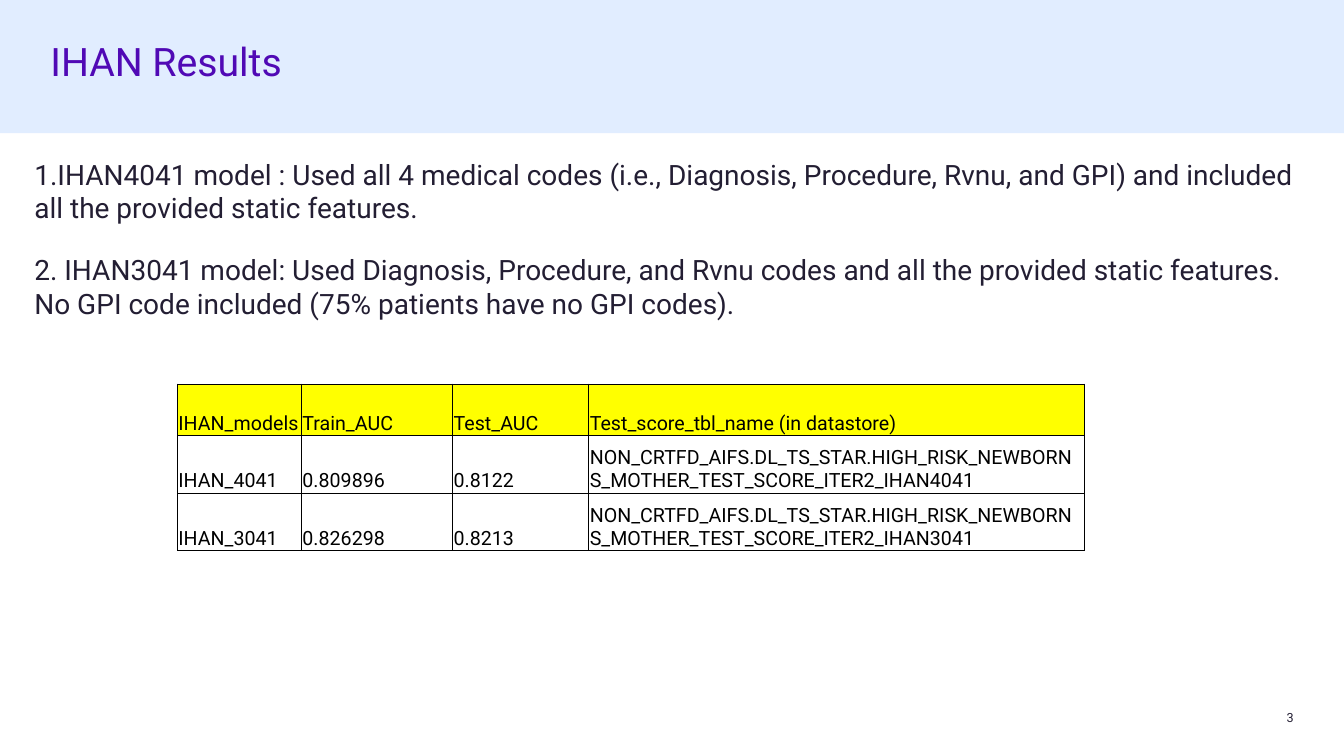
"""Build the IHAN results slide: title band, model notes and AUC table."""
from dataclasses import dataclass

from lxml import etree
from pptx import Presentation
from pptx import util as u
from pptx.dml.color import RGBColor
from pptx.enum import shapes, text
from pptx.oxml import ns


@dataclass(frozen=True)
class Theme:
    font: str = "Roboto"
    band: str = "E1EDFF"
    title: str = "5009B5"
    ink: str = "231E33"
    black: str = "000000"
    header: str = "FFFF00"
    title_size: int = 28
    body_size: int = 20
    table_size: int = 14
    number_size: int = 9


T = Theme()


def write(tf, *lines, size, color, align=text.PP_ALIGN.LEFT, before=0, spacing=1.0):
    tf.word_wrap = True
    for i, line in enumerate(lines):
        p = tf.add_paragraph() if i else tf.paragraphs[0]
        p.alignment = align
        p.space_before = u.Pt(before)
        p.line_spacing = spacing
        r = p.add_run()
        r.text = line
        r.font.name = T.font
        r.font.size = u.Pt(size)
        r.font.color.rgb = RGBColor.from_string(color)


def place(sp, left, top, width, height, anchor=text.MSO_ANCHOR.TOP):
    sp.left, sp.top = u.Inches(left), u.Inches(top)
    sp.width, sp.height = u.Inches(width), u.Inches(height)
    tf = sp.text_frame
    tf.margin_left = tf.margin_top = tf.margin_right = tf.margin_bottom = 0
    tf.auto_size = text.MSO_AUTO_SIZE.NONE
    tf.vertical_anchor = anchor
    return tf


prs = Presentation()
prs.slide_width, prs.slide_height = u.Inches(13.33), u.Inches(7.5)
s = prs.slides.add_slide(prs.slide_layouts[1])
title, body = s.placeholders

band = s.shapes.add_shape(shapes.MSO_SHAPE.RECTANGLE, 0, 0, prs.slide_width, u.Inches(1.32))
band.shadow.inherit = False
band.fill.solid()
band.fill.fore_color.rgb = RGBColor.from_string(T.band)
band.line.fill.background()
title.element.addprevious(band.element)

write(place(title, 0.5, 0.42, 12.33, 0.9), "IHAN Results",
      size=T.title_size, color=T.title, spacing=0.9)

write(place(body, 0.34, 1.56, 12.51, 5.01),
      "1.IHAN4041 model : Used all 4 medical codes (i.e., Diagnosis, Procedure, Rvnu, and GPI) "
      "and included all the provided static features.",
      "2. IHAN3041 model: Used Diagnosis, Procedure, and Rvnu codes and all the provided static "
      "features. No GPI code included (75% patients have no GPI codes).",
      size=T.body_size, color=T.ink, before=20)
for p in body.text_frame.paragraphs:
    pPr = p._p.get_or_add_pPr()
    pPr.set("marL", "0")
    pPr.set("indent", "0")
    etree.SubElement(pPr, ns.qn("a:buNone"))

number = s.shapes.add_textbox(0, 0, 0, 0)
write(place(number, 12.42, 7.04, 0.41, 0.15, text.MSO_ANCHOR.BOTTOM), "3",
      size=T.number_size, color=T.ink, align=text.PP_ALIGN.RIGHT)

score_table = "NON_CRTFD_AIFS.DL_TS_STAR.HIGH_RISK_NEWBORNS_MOTHER_TEST_SCORE_ITER2_IHAN"
rows = [
    ("IHAN_models", "Train_AUC", "Test_AUC", "Test_score_tbl_name (in datastore)"),
    ("IHAN_4041", "0.809896", "0.8122", score_table + "4041"),
    ("IHAN_3041", "0.826298", "0.8213", score_table + "3041"),
]
widths = (1.23, 1.5, 1.35, 4.91)
heights = (0.51, 0.57, 0.57)
results = s.shapes.add_table(len(rows), len(widths), u.Inches(1.76), u.Inches(3.81),
                             u.Inches(sum(widths)), u.Inches(sum(heights))).table
results.first_row = results.horz_banding = False
for column, width in zip(results.columns, widths):
    column.width = u.Inches(width)

for i, (values, height) in enumerate(zip(rows, heights)):
    results.rows[i].height = u.Inches(height)
    for j, value in enumerate(values):
        cell = results.cell(i, j)
        cell.margin_left = cell.margin_top = cell.margin_right = u.Inches(0.01)
        cell.margin_bottom = 0
        cell.vertical_anchor = text.MSO_ANCHOR.BOTTOM
        write(cell.text_frame, value, size=T.table_size, color=T.black)
        if i == 0:
            cell.fill.solid()
            cell.fill.fore_color.rgb = RGBColor.from_string(T.header)
        else:
            cell.fill.background()
        tcPr = cell._tc.get_or_add_tcPr()
        for k, side in enumerate(("lnL", "lnR", "lnT", "lnB")):
            border = etree.Element(ns.qn(f"a:{side}"), w=str(u.Pt(0.5)))
            fill = etree.SubElement(border, ns.qn("a:solidFill"))
            etree.SubElement(fill, ns.qn("a:srgbClr"), val=T.black)
            tcPr.insert(k, border)

prs.save("out.pptx")
